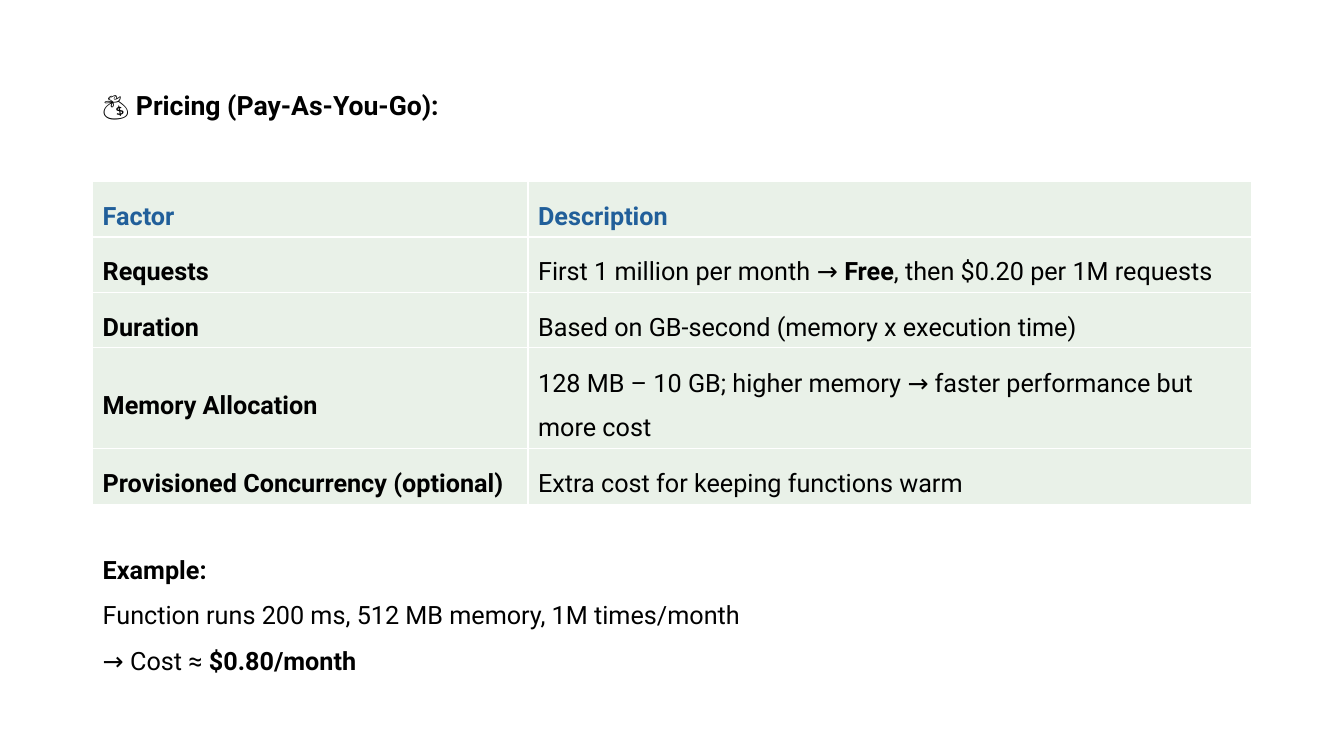
from dataclasses import dataclass

from lxml import etree
from pptx import Presentation
from pptx.dml.color import RGBColor
from pptx.enum import text
from pptx.oxml import ns
from pptx.util import Pt


@dataclass(frozen=True)
class Theme:
    font: str = "Roboto"
    ink: str = "000000"
    accent: str = "215F9A"
    cell: str = "E9F1E8"
    border: str = "FFFFFF"
    title_size: float = 19
    body_size: float = 18


THEME = Theme()
MARGIN = 66.2
PRICING = [
    ("**Factor**", "**Description**"),
    ("**Requests**", "First 1 million per month → **Free**, then $0.20 per 1M requests"),
    ("**Duration**", "Based on GB-second (memory x execution time)"),
    ("**Memory Allocation**",
     "128 MB – 10 GB; higher memory → faster performance but more cost"),
    ("**Provisioned Concurrency (optional)**", "Extra cost for keeping functions warm"),
]
ROW_HEIGHTS = [39.6, 39.6, 39.6, 71.8, 39.6]
COLUMN_WIDTHS = [311, 517]
EXAMPLE = [
    "**Example:**",
    "Function runs 200 ms, 512 MB memory, 1M times/month\n→ Cost ≈ **$0.80/month**",
]


def write(frame, paragraphs, size=THEME.body_size, color=THEME.ink, spacing=1.5):
    frame.word_wrap = True
    for index, content in enumerate(paragraphs):
        paragraph = frame.paragraphs[0] if index == 0 else frame.add_paragraph()
        properties = paragraph._p.get_or_add_pPr()
        properties.set("marL", "0")
        properties.set("indent", "0")
        etree.SubElement(properties, ns.qn("a:buNone"))
        paragraph.alignment = text.PP_ALIGN.LEFT
        paragraph.line_spacing = spacing
        paragraph.space_before = paragraph.space_after = Pt(0)
        for line_number, line in enumerate(content.split("\n")):
            if line_number:
                paragraph.add_line_break()
            for part_number, part in enumerate(line.split("**")):
                if part:
                    run = paragraph.add_run()
                    run.text = part
                    run.font.name = THEME.font
                    run.font.size = Pt(size)
                    run.font.bold = part_number % 2 == 1
                    run.font.color.rgb = RGBColor.from_string(color)


def place(placeholder, left, top, width, height, anchor):
    placeholder.left, placeholder.top = Pt(left), Pt(top)
    placeholder.width, placeholder.height = Pt(width), Pt(height)
    placeholder.text_frame.vertical_anchor = anchor
    placeholder.text_frame.auto_size = text.MSO_AUTO_SIZE.SHAPE_TO_FIT_TEXT


def add_heading(slide, left, top, width, height):
    heading = slide.shapes.title
    place(heading, left, top, width, height, text.MSO_ANCHOR.TOP)
    write(heading.text_frame, ["**💰 Pricing (Pay-As-You-Go):**"],
          size=THEME.title_size, spacing=1.0)


def add_borders(cell):
    properties = cell._tc.get_or_add_tcPr()
    for position, side in enumerate(("lnL", "lnR", "lnT", "lnB")):
        border = etree.Element(ns.qn(f"a:{side}"), w=str(Pt(1)))
        fill = etree.SubElement(border, ns.qn("a:solidFill"))
        etree.SubElement(fill, ns.qn("a:srgbClr"), val=THEME.border)
        properties.insert(position, border)


def add_pricing(slide, left, top, width, height):
    pricing = slide.shapes.add_table(
        len(PRICING), len(COLUMN_WIDTHS), Pt(left), Pt(top), Pt(width), Pt(height)).table
    pricing.horz_banding = pricing.first_row = False
    for column, share in zip(pricing.columns, COLUMN_WIDTHS):
        column.width = Pt(width * share / sum(COLUMN_WIDTHS))
    for row_number, (row, entries) in enumerate(zip(pricing.rows, PRICING)):
        row.height = Pt(height * ROW_HEIGHTS[row_number] / sum(ROW_HEIGHTS))
        for cell, entry in zip(row.cells, entries):
            cell.vertical_anchor = text.MSO_ANCHOR.MIDDLE
            cell.fill.solid()
            cell.fill.fore_color.rgb = RGBColor.from_string(THEME.cell)
            add_borders(cell)
            write(cell.text_frame, [entry],
                  color=THEME.ink if row_number else THEME.accent)


def add_example(slide, left, top, width, height):
    example = slide.placeholders[1]
    place(example, left, top, width, height, text.MSO_ANCHOR.MIDDLE)
    write(example.text_frame, EXAMPLE)


def main():
    deck = Presentation()
    deck.slide_width, deck.slide_height = Pt(960), Pt(540)
    slide = deck.slides.add_slide(deck.slide_layouts[1])
    add_heading(slide, MARGIN, 60, 556.6, 30)
    add_pricing(slide, MARGIN, 129.6, sum(COLUMN_WIDTHS), sum(ROW_HEIGHTS))
    add_example(slide, MARGIN, 383, 617.8, 101.5)
    deck.save("out.pptx")


if __name__ == "__main__":
    main()
